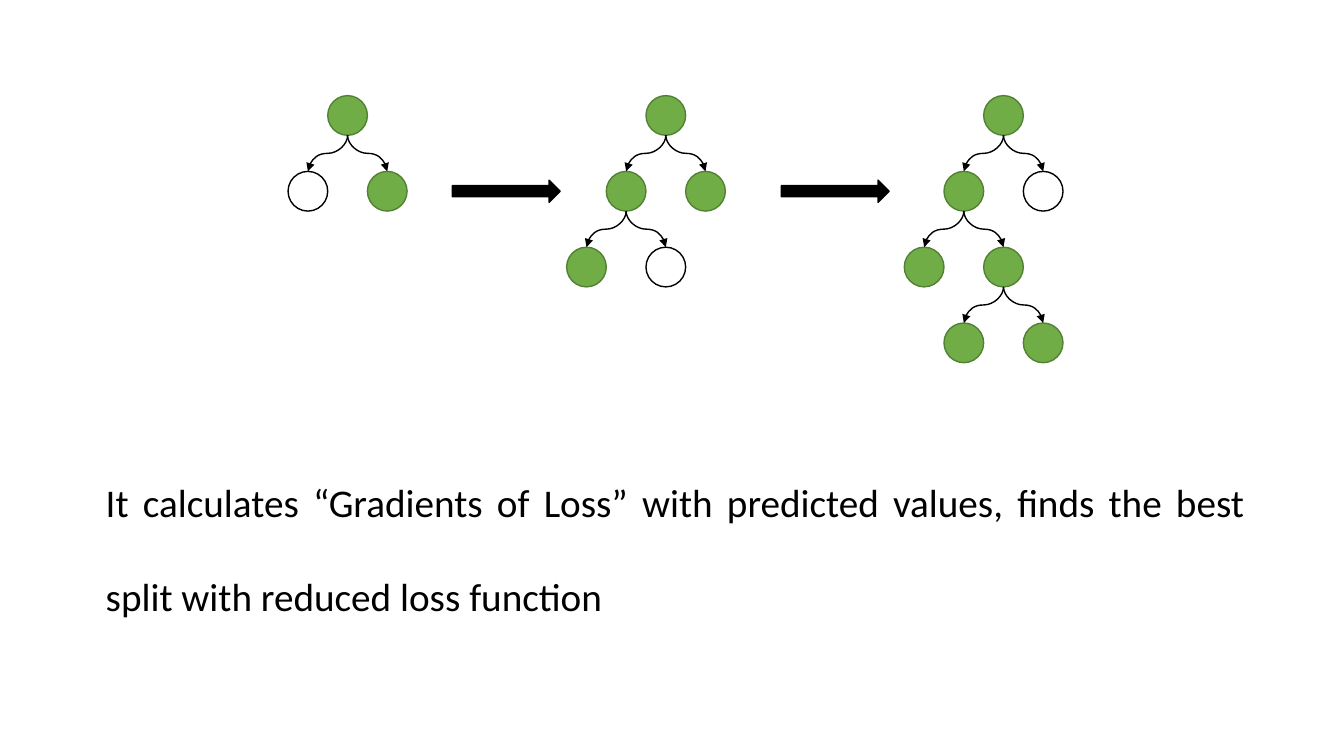
from dataclasses import dataclass

from lxml.etree import SubElement
from pptx import Presentation
from pptx.dml.color import RGBColor
from pptx.enum.shapes import MSO_CONNECTOR, MSO_SHAPE
from pptx.enum.text import MSO_ANCHOR, MSO_AUTO_SIZE, PP_ALIGN
from pptx.oxml.ns import qn
from pptx.util import Cm, Pt


@dataclass(frozen=True)
class Theme:
    green: RGBColor = RGBColor(0x70, 0xAD, 0x47)
    dark_green: RGBColor = RGBColor(0x53, 0x80, 0x35)
    black: RGBColor = RGBColor(0, 0, 0)
    white: RGBColor = RGBColor(255, 255, 255)
    font: str = "Calibri"
    body: Pt = Pt(28)
    line: Pt = Pt(1)


# Tree geometry in cm
NODE = 1.0
SPREAD = 1.0
LEVEL = 1.91
ROOT_Y = 2.91

# A node is (is_green, *children)
GREEN, WHITE = (True,), (False,)
TREES = [
    (8.76, (True, WHITE, GREEN)),
    (16.78, (True, (True, GREEN, WHITE), GREEN)),
    (25.29, (True, (True, GREEN, (True, GREEN, GREEN)), WHITE)),
]
STEP_ARROWS = [11.4, 19.69]
TEXT = ("It calculates “Gradients of Loss” with predicted values, "
        "finds the best split with reduced loss function")


class TreeSlide:
    def __init__(self, prs, theme):
        self.theme = theme
        self.s = prs.slides.add_slide(prs.slide_layouts[1])
        title = self.s.shapes.title
        title.element.getparent().remove(title.element)

    def shape(self, kind, x, y, w, h, fill, line):
        sp = self.s.shapes.add_shape(kind, Cm(x), Cm(y), Cm(w), Cm(h))
        sp.shadow.inherit = False
        sp.fill.solid()
        sp.fill.fore_color.rgb = fill
        sp.line.color.rgb = line
        sp.line.width = self.theme.line

    def branch(self, x, y, side):
        """Curve from the foot of a node down to its left (-1) or right (1) child."""
        drop = LEVEL - NODE
        mid_x, mid_y = x + side * SPREAD / 2, y + LEVEL / 2
        # Laid out sideways, then turned so that the curve leaves vertically
        cxn = self.s.shapes.add_connector(
            MSO_CONNECTOR.CURVE,
            Cm(mid_x + side * drop / 2), Cm(mid_y - SPREAD / 2),
            Cm(mid_x - side * drop / 2), Cm(mid_y + SPREAD / 2))
        cxn.line.color.rgb = self.theme.black
        cxn.line.width = self.theme.line
        sp_pr = cxn.element.spPr
        sp_pr.find(qn("a:xfrm")).set("rot", str((90 if side < 0 else 270) * 60000))
        SubElement(sp_pr.find(qn("a:ln")), qn("a:tailEnd"), type="triangle")
        SubElement(sp_pr, qn("a:effectLst"))

    def tree(self, node, x, y):
        t = self.theme
        is_green, *children = node
        fill, line = (t.green, t.dark_green) if is_green else (t.white, t.black)
        self.shape(MSO_SHAPE.FLOWCHART_CONNECTOR, x - NODE / 2, y - NODE / 2,
                   NODE, NODE, fill, line)
        for side, child in zip((-1, 1), children):
            self.tree(child, x + side * SPREAD, y + LEVEL)
            self.branch(x, y, side)

    def step_arrow(self, x, y, w=2.72, h=0.56):
        self.shape(MSO_SHAPE.RIGHT_ARROW, x, y - h / 2, w, h,
                   self.theme.black, self.theme.black)

    def body(self, text, x, y, w, h):
        sp = self.s.placeholders[1]
        sp.left, sp.top, sp.width, sp.height = Cm(x), Cm(y), Cm(w), Cm(h)
        tf = sp.text_frame
        tf.word_wrap = True
        tf.auto_size = MSO_AUTO_SIZE.NONE
        tf.vertical_anchor = MSO_ANCHOR.TOP
        p = tf.paragraphs[0]
        p.text = text
        p.alignment = PP_ALIGN.JUSTIFY
        p.line_spacing = 2.0
        p.space_before = Pt(10)
        p.font.name = self.theme.font
        p.font.size = self.theme.body
        p.font.color.rgb = self.theme.black
        # No bullet and no hanging indent
        p_pr = p._p.get_or_add_pPr()
        p_pr.set("marL", "0")
        p_pr.set("indent", "0")
        bu_none = p_pr.makeelement(qn("a:buNone"), {})
        p_pr.find(qn("a:defRPr")).addprevious(bu_none)


def main():
    prs = Presentation()
    prs.slide_width, prs.slide_height = Cm(33.87), Cm(19.05)
    slide = TreeSlide(prs, Theme())

    # Explanation
    slide.body(TEXT, 2.41, 10.74, 29.21, 7.24)

    # Growing trees
    for x, root in TREES:
        slide.tree(root, x, ROOT_Y)

    # Steps between trees
    for x in STEP_ARROWS:
        slide.step_arrow(x, ROOT_Y + LEVEL)

    prs.save("out.pptx")


if __name__ == "__main__":
    main()
